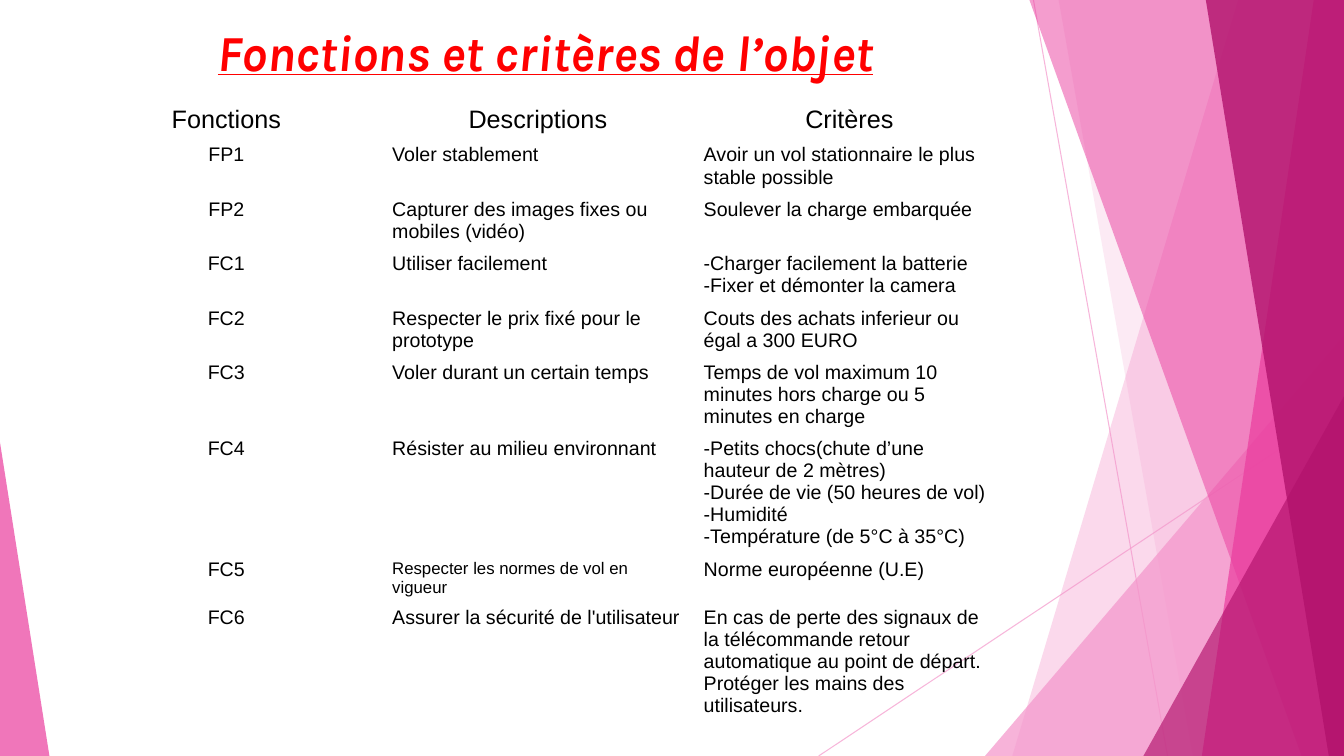
from dataclasses import dataclass

from lxml import etree
from pptx import Presentation
from pptx.dml.color import RGBColor
from pptx.enum import shapes, text
from pptx.oxml import ns
from pptx.util import Inches, Pt

WIDTH, HEIGHT = 13.33, 7.5
PALE_PINK = RGBColor(0xF4, 0x96, 0xCB)
PINK = RGBColor(0xEA, 0x3C, 0x9E)
MAGENTA = RGBColor(0xB2, 0x12, 0x6C)
RED = RGBColor(0xFF, 0x00, 0x00)
BLACK = RGBColor(0x00, 0x00, 0x00)
NO_STYLE = "{2D5ABB26-0587-4C30-8999-92F81FD0307C}"


@dataclass
class Ray:
    start: tuple[float, float]
    end: tuple[float, float]


@dataclass
class Band:
    """Full-height facet, reaching the right edge of the slide."""
    top: float
    bottom: float
    color: RGBColor
    opacity: int


@dataclass
class Corner:
    """Triangle standing on the bottom edge."""
    left: float
    top: float
    width: float
    apex: float
    color: RGBColor
    opacity: int


@dataclass
class Function:
    code: str
    description: str
    criteria: list[str]
    height: float = 0.54
    description_size: int = 14


RAYS = [Ray((10.25, 0), (11.58, HEIGHT)), Ray((WIDTH, 4.03), (8.12, HEIGHT))]
FACETS = [
    Band(12.28, 10.04, PALE_PINK, 36),
    Band(10.5, 11.83, PALE_PINK, 20),
    Corner(9.77, 3.33, 3.56, 1, PALE_PINK, 72),
    Band(10.21, 12.91, PINK, 50),
    Band(13.03, 11.92, PINK, 70),
    Band(11.96, 13.18, MAGENTA, 80),
    Corner(11.34, 3.93, 1.99, 1, MAGENTA, 66),
    Corner(0, 4.39, 0.49, 0, PINK, 70),
]
HEADINGS = ["Fonctions", "Descriptions", "Critères"]
FUNCTIONS = [
    Function("FP1", "Voler stablement", ["Avoir un vol stationnaire le plus stable possible"]),
    Function("FP2", "Capturer des images fixes ou mobiles (vidéo)", ["Soulever la charge embarquée"]),
    Function("FC1", "Utiliser facilement",
             ["-Charger facilement la batterie", "-Fixer et démonter la camera"]),
    Function("FC2", "Respecter le prix fixé pour le prototype",
             ["Couts des achats inferieur ou égal a 300 EURO"]),
    Function("FC3", "Voler durant un certain temps",
             ["Temps de vol maximum 10 minutes hors charge ou 5 minutes en charge"], 0.75),
    Function("FC4", "Résister au milieu environnant",
             ["-Petits chocs(chute d’une hauteur de 2 mètres)", "-Durée de vie (50 heures de vol)",
              "-Humidité", "-Température (de 5°C à 35°C)"], 1.2),
    Function("FC5", "Respecter les normes de vol en vigueur", ["Norme européenne (U.E)"], 0.46, 12),
    Function("FC6", "Assurer la sécurité de l'utilisateur",
             ["En cas de perte des signaux de la télécommande retour automatique au point de départ. "
              "Protéger les mains des utilisateurs."], 1.19),
]


def set_opacity(fill_parent, percent: int) -> None:
    color = fill_parent.find(".//" + ns.qn("a:srgbClr"))
    etree.SubElement(color, ns.qn("a:alpha"), val=str(percent * 1000))


def draw_ray(slide, ray: Ray) -> None:
    line = slide.shapes.add_connector(
        shapes.MSO_CONNECTOR.STRAIGHT, *map(Inches, ray.start + ray.end))
    line.line.color.rgb = PALE_PINK
    line.line.width = Pt(0.75)
    properties = line._element.spPr
    set_opacity(properties, 70)
    etree.SubElement(properties, ns.qn("a:effectLst"))


def draw_facet(slide, facet: Band | Corner) -> None:
    if isinstance(facet, Band):
        builder = slide.shapes.build_freeform(Inches(facet.top), 0)
        corners = [(WIDTH, 0), (WIDTH, HEIGHT), (facet.bottom, HEIGHT)]
        builder.add_line_segments([(Inches(x), Inches(y)) for x, y in corners], close=True)
        shape = builder.convert_to_shape()
    else:
        shape = slide.shapes.add_shape(
            shapes.MSO_SHAPE.ISOSCELES_TRIANGLE, Inches(facet.left), Inches(facet.top),
            Inches(facet.width), Inches(HEIGHT - facet.top))
        shape.adjustments[0] = facet.apex
    shape.shadow.inherit = False
    shape.line.fill.background()
    shape.fill.solid()
    shape.fill.fore_color.rgb = facet.color
    set_opacity(shape._element.spPr, facet.opacity)


def write_title(slide, wording: str) -> None:
    title = slide.shapes.title
    title.left, title.top = Inches(0.71), Inches(0.16)
    title.width, title.height = Inches(9.4), Inches(1.44)
    frame = title.text_frame
    frame.word_wrap = True
    frame.vertical_anchor = text.MSO_ANCHOR.TOP
    paragraph = frame.paragraphs[0]
    paragraph.alignment = text.PP_ALIGN.CENTER
    run = paragraph.add_run()
    run.text = wording
    font = run.font
    font.name, font.size = "Karla", Pt(36)
    font.bold = font.italic = font.underline = True
    font.color.rgb = RED


def write_cell(cell, lines: list[str], size: int, centred: bool) -> None:
    cell.fill.background()
    frame = cell.text_frame
    for index, line in enumerate(lines):
        paragraph = frame.add_paragraph() if index else frame.paragraphs[0]
        paragraph.alignment = text.PP_ALIGN.CENTER if centred else text.PP_ALIGN.LEFT
        run = paragraph.add_run()
        run.text = line
        run.font.name, run.font.size = "Arial", Pt(size)
        run.font.color.rgb = BLACK


def draw_table(slide) -> None:
    heights = [0.38] + [function.height for function in FUNCTIONS]
    table = slide.shapes.add_table(
        len(heights), len(HEADINGS), Inches(0.7), Inches(1),
        Inches(3.09 * len(HEADINGS)), Inches(sum(heights))).table
    table.first_row = table.horz_banding = False
    table._tbl.tblPr.find(ns.qn("a:tableStyleId")).text = NO_STYLE
    for column in table.columns:
        column.width = Inches(3.09)
    for row, height in zip(table.rows, heights):
        row.height = Inches(height)
    for column, heading in enumerate(HEADINGS):
        write_cell(table.cell(0, column), [heading], 18, True)
    for row, function in enumerate(FUNCTIONS, 1):
        write_cell(table.cell(row, 0), [function.code], 14, True)
        write_cell(table.cell(row, 1), [function.description], function.description_size, False)
        write_cell(table.cell(row, 2), function.criteria, 14, False)


def main() -> None:
    presentation = Presentation()
    presentation.slide_width, presentation.slide_height = Inches(WIDTH), Inches(HEIGHT)
    slide = presentation.slides.add_slide(presentation.slide_layouts[5])

    # Faceted background
    for ray in RAYS:
        draw_ray(slide, ray)
    for facet in FACETS:
        draw_facet(slide, facet)

    # Title and table of functions
    write_title(slide, "Fonctions et critères de l’objet")
    draw_table(slide)
    presentation.save("out.pptx")


if __name__ == "__main__":
    main()
